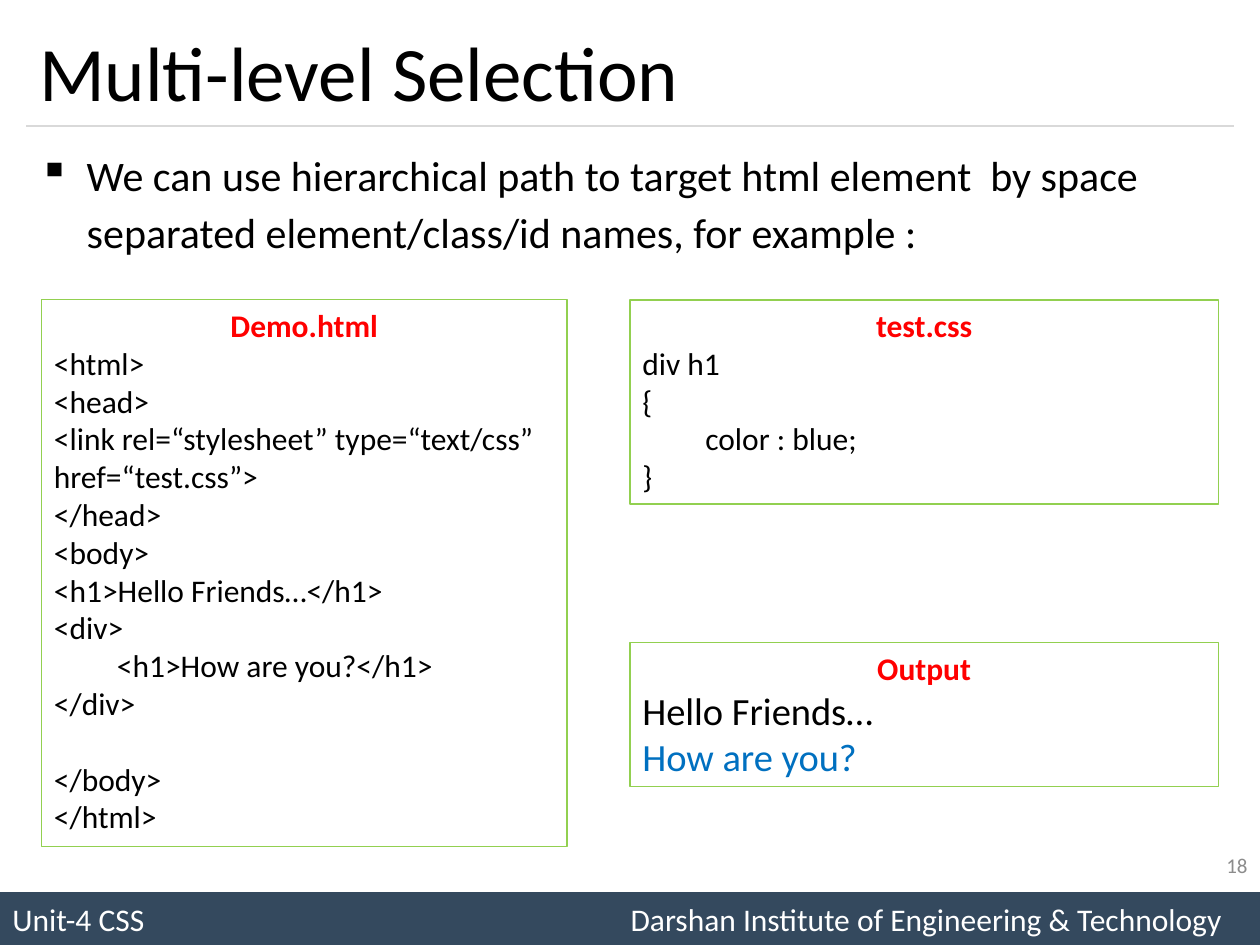
from pptx import Presentation
from pptx.dml.color import RGBColor as RGB
from pptx.enum.shapes import MSO_CONNECTOR as LINE, MSO_SHAPE as SHAPE
from pptx.enum.text import MSO_ANCHOR as ANCHOR, MSO_AUTO_SIZE as FIT, PP_ALIGN as ALIGN
from pptx.util import Inches, Pt
from lxml.etree import SubElement
from pptx.oxml.ns import qn

BLACK = RGB(0, 0, 0)
WHITE = RGB(255, 255, 255)
NAVY = RGB(0x34, 0x49, 0x5E)
RULE = RGB(0xD9, 0xD9, 0xD9)
GREEN = RGB(0x92, 0xD0, 0x50)
RED = RGB(255, 0, 0)
BLUE = RGB(0, 0x70, 0xC0)
GRAY = RGB(0x8C, 0x8C, 0x8C)


def write(frame, text, size=18, color=BLACK, bold=False, align=ALIGN.LEFT,
          anchor=ANCHOR.TOP, first=True, before=0):
    frame.word_wrap = True
    frame.auto_size = FIT.NONE
    frame.vertical_anchor = anchor
    para = frame.paragraphs[0] if first else frame.add_paragraph()
    para.alignment = align
    para.space_before = Pt(before)
    run = para.add_run()
    run.text = text
    font = run.font
    font.name, font.size, font.bold = "Calibri", Pt(size), bold
    font.color.rgb = color
    return para


deck = Presentation()
deck.slide_width, deck.slide_height = Inches(10), Inches(7.5)
slide = deck.slides.add_slide(deck.slide_layouts[5])
shapes = slide.shapes

bar = shapes.add_shape(SHAPE.RECTANGLE, 0, Inches(7.08), Inches(10), Inches(0.42))
bar.shadow.inherit = False
bar.fill.solid()
bar.fill.fore_color.rgb = NAVY
bar.line.fill.background()
foot = write(bar.text_frame, "Unit-4 CSS\tDarshan Institute of Engineering & Technology",
             color=WHITE, anchor=ANCHOR.MIDDLE)
tabs = SubElement(foot._p.get_or_add_pPr(), qn("a:tabLst"))
SubElement(tabs, qn("a:tab"), pos=str(Inches(9.6)), algn="r")

rule = shapes.add_connector(LINE.STRAIGHT, Inches(0.21), Inches(1), Inches(9.79), Inches(1))
rule.line.color.rgb = RULE
rule.line.width = Pt(0.75)
SubElement(rule._element.spPr, qn("a:effectLst"))

title = shapes.title
title.left, title.top = Inches(0.21), Inches(0.12)
title.width, title.height = Inches(9.58), Inches(0.88)
write(title.text_frame, "Multi-level Selection", size=44, anchor=ANCHOR.MIDDLE)

body = shapes.add_textbox(Inches(0.21), Inches(1.08), Inches(9.58), Inches(1.17))
point = write(body.text_frame, "We can use hierarchical path to target html element  by space "
              "separated element/class/id names, for example :", size=24)
point.line_spacing = 1.14
props = point._p.get_or_add_pPr()
props.set("marL", str(Inches(0.38)))
props.set("indent", str(-Inches(0.38)))
SubElement(props, qn("a:buChar"), char="▪")

html = [
    "<html>",
    "<head>",
    "<link rel=“stylesheet” type=“text/css” href=“test.css”>",
    "</head>",
    "<body>",
    "<h1>Hello Friends…</h1>",
    "<div>",
    "\t<h1>How are you?</h1>",
    "</div>",
    "</body>",
    "</html>",
]
css = ["div h1", "{", "\tcolor : blue;", "}"]
panels = [
    ("Demo.html", 0.33, 2.38, 4.17, 4.34, [(row, {}) for row in html]),
    ("test.css", 5, 2.38, 4.67, 1.62, [(row, {}) for row in css]),
    ("Output", 5, 5.1, 4.67, 1.14, [("Hello Friends…", {"size": 22}),
                                    ("How are you?", {"size": 22, "color": BLUE})]),
]
for name, left, top, width, height, rows in panels:
    box = shapes.add_shape(SHAPE.RECTANGLE, Inches(left), Inches(top),
                           Inches(width), Inches(height))
    box.shadow.inherit = False
    box.fill.background()
    box.line.color.rgb = GREEN
    box.line.width = Pt(0.75)
    write(box.text_frame, name, color=RED, bold=True, align=ALIGN.CENTER)
    for row, style in rows:
        gap = 21.6 if row == "</body>" else 0
        write(box.text_frame, row, first=False, before=gap, **style)

page = shapes.add_textbox(Inches(7.67), Inches(6.67), Inches(2.33), Inches(0.4))
write(page.text_frame, "18", size=12, color=GRAY, align=ALIGN.RIGHT, anchor=ANCHOR.MIDDLE)

deck.save("out.pptx")
